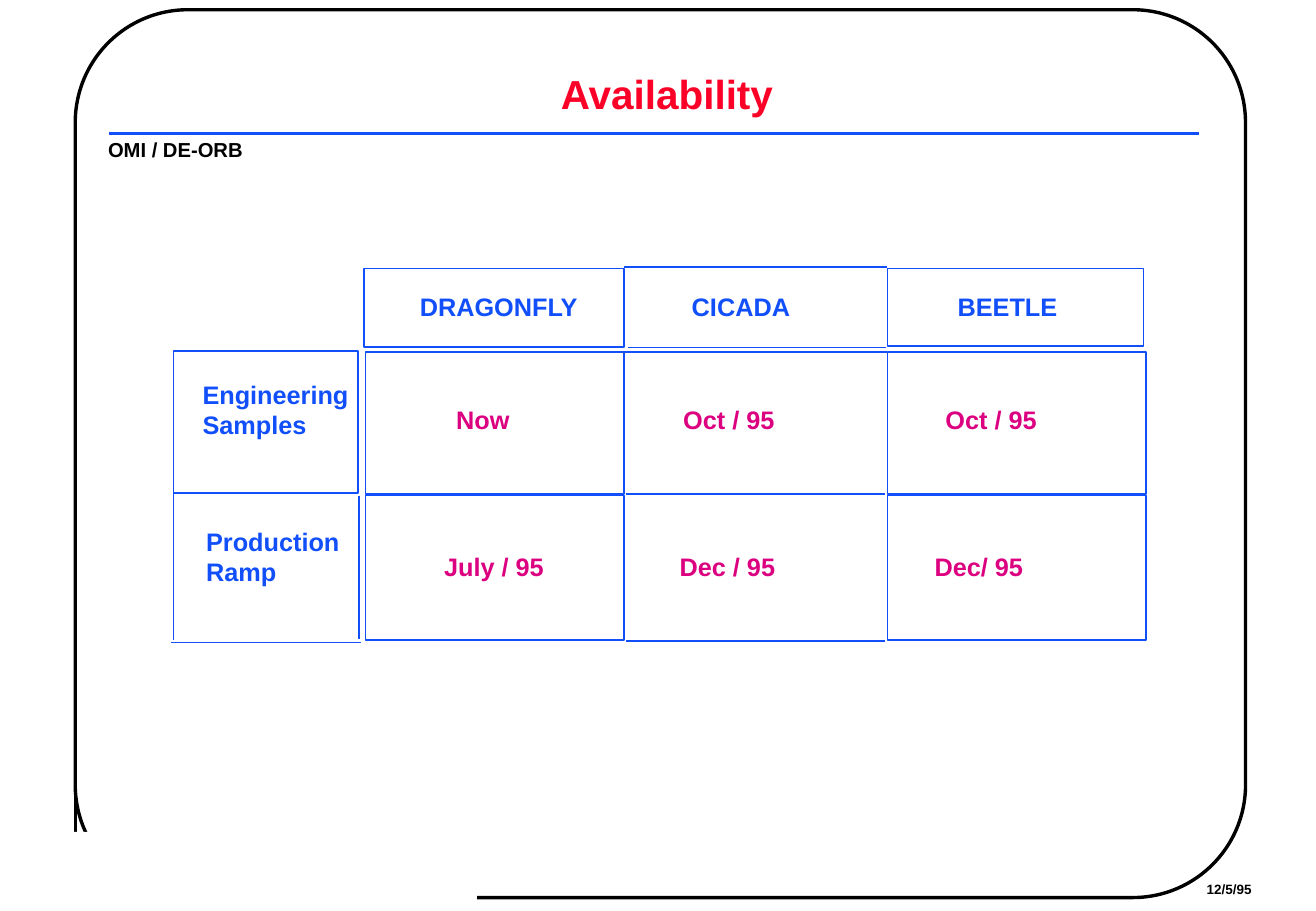
from dataclasses import dataclass
from typing import NamedTuple, Optional

from lxml.etree import SubElement
from pptx import Presentation
from pptx.dml.color import RGBColor as Rgb
from pptx.enum.shapes import MSO_CONNECTOR as Link, MSO_SHAPE as Form
from pptx.enum.text import MSO_AUTO_SIZE as Fit, PP_ALIGN as Align
from pptx.oxml.ns import qn
from pptx.util import Inches, Pt


@dataclass(frozen=True)
class Theme:
    font: str = "Arial"
    black: str = "000000"
    white: str = "FFFFFF"
    blue: str = "114FFB"
    red: str = "FC0128"
    pink: str = "DC0081"
    title: int = 24
    body: int = 15
    label: int = 12
    date: int = 8
    thick: int = 2
    thin: int = 1


THEME = Theme()


class Box(NamedTuple):
    left: float
    top: float
    width: float
    height: float


class Rule(NamedTuple):
    x1: float
    y1: float
    x2: float
    y2: float
    color: str = THEME.blue
    weight: int = THEME.thin


@dataclass(frozen=True)
class Text:
    box: Box
    words: str
    size: int = THEME.body
    color: str = THEME.blue
    align: Align = Align.LEFT
    space: float = 1.0
    stops: tuple[float, ...] = ()


MASKS = [Box(0.56, 6.98, 1.09, 0.43), Box(0.47, 6.85, 3.46, 0.56)]
CELLS = [
    Box(3, 2.21, 2.14, 0.65),
    Box(7.31, 2.21, 2.11, 0.64),
    *(Box(x, y, 2.13, h) for y, h in ((2.9, 1.17), (4.08, 1.19)) for x in (3.01, 7.31)),
    Box(1.43, 2.89, 1.52, 1.17),
]
STUB = Rule(0.62, 6.49, 0.62, 6.97, THEME.black, THEME.thick)
RULES = [
    Rule(0.9, 1.1, 9.88, 1.1, weight=THEME.thick),
    Rule(5.14, 2.2, 7.31, 2.2),
    Rule(5.17, 2.86, 7.3, 2.86),
    Rule(5.13, 2.9, 7.31, 2.9),
    *(Rule(5.16, y, 7.29, y) for y in (4.07, 5.28)),
    Rule(1.43, 4.06, 1.43, 5.27),
    Rule(2.96, 4.08, 2.96, 5.26),
    Rule(1.41, 5.29, 2.97, 5.29),
]
TEXTS = [
    Text(Box(9.84, 7.22, 0.57, 0.22), "12/5/95", THEME.date, THEME.black,
         Align.CENTER, 0.9),
    Text(Box(0.74, 1.1, 1.41, 0.28), "OMI / DE-ORB", THEME.label, THEME.black,
         Align.CENTER, 0.9),
    Text(Box(1.98, 0.52, 7.03, 0.5), "Availability", THEME.title, THEME.red,
         Align.CENTER),
    Text(Box(3.36, 2.35, 1.6, 0.35), "DRAGONFLY"),
    Text(Box(5.6, 2.35, 1.1, 0.35), "CICADA"),
    Text(Box(7.79, 2.35, 1.1, 0.35), "BEETLE"),
    Text(Box(1.57, 3.07, 1.5, 0.6), "Engineering\nSamples"),
    Text(Box(1.6, 4.28, 1.4, 0.6), "Production\nRamp"),
    Text(Box(3.66, 3.28, 5.1, 0.35), "Now\tOct / 95\tOct / 95",
         color=THEME.pink, stops=(1.87, 4.03)),
    Text(Box(3.56, 4.49, 5.1, 0.35), "July / 95\tDec / 95\tDec/ 95",
         color=THEME.pink, stops=(1.94, 4.04)),
]


def draw_box(slide, box: Box, line: Optional[str] = None, weight: int = THEME.thin,
             form: Form = Form.RECTANGLE, fill: Optional[str] = THEME.white):
    shape = slide.shapes.add_shape(form, *map(Inches, box))
    shape.shadow.inherit = False
    if fill:
        shape.fill.solid()
        shape.fill.fore_color.rgb = Rgb.from_string(fill)
    else:
        shape.fill.background()
    if line:
        shape.line.color.rgb = Rgb.from_string(line)
        shape.line.width = Pt(weight)
    else:
        shape.line.fill.background()
    return shape


def draw_rule(slide, rule: Rule) -> None:
    line = slide.shapes.add_connector(Link.STRAIGHT, *map(Inches, rule[:4]))
    line.line.color.rgb = Rgb.from_string(rule.color)
    line.line.width = Pt(rule.weight)
    SubElement(line._element.spPr, qn("a:effectLst"))


def add_stops(para, stops: tuple[float, ...]) -> None:
    """Set left tab stops, in inches from the text edge."""
    tabs = SubElement(para._p.get_or_add_pPr(), qn("a:tabLst"))
    for stop in stops:
        SubElement(tabs, qn("a:tab"), pos=str(Inches(stop)), algn="l")


def draw_text(slide, item: Text) -> None:
    frame = slide.shapes.add_textbox(*map(Inches, item.box)).text_frame
    frame.text = item.words
    frame.word_wrap = True
    frame.auto_size = Fit.SHAPE_TO_FIT_TEXT
    for para in frame.paragraphs:
        para.alignment = item.align
        para.line_spacing = item.space
        if item.stops:
            add_stops(para, item.stops)
        for run in para.runs:
            run.font.name = THEME.font
            run.font.size = Pt(item.size)
            run.font.bold = True
            run.font.color.rgb = Rgb.from_string(item.color)


def main() -> None:
    deck = Presentation()
    deck.slide_width, deck.slide_height = Inches(10.84), Inches(7.5)
    slide = deck.slides.add_slide(deck.slide_layouts[6])
    frame = draw_box(slide, Box(0.62, 0.08, 9.64, 7.31), THEME.black, THEME.thick,
                     Form.ROUNDED_RECTANGLE, None)
    frame.adjustments[0] = 0.127
    draw_rule(slide, STUB)
    for mask in MASKS:
        draw_box(slide, mask)
    for cell in CELLS:
        draw_box(slide, cell, THEME.blue)
    for rule in RULES:
        draw_rule(slide, rule)
    for item in TEXTS:
        draw_text(slide, item)
    deck.save("out.pptx")


if __name__ == "__main__":
    main()
